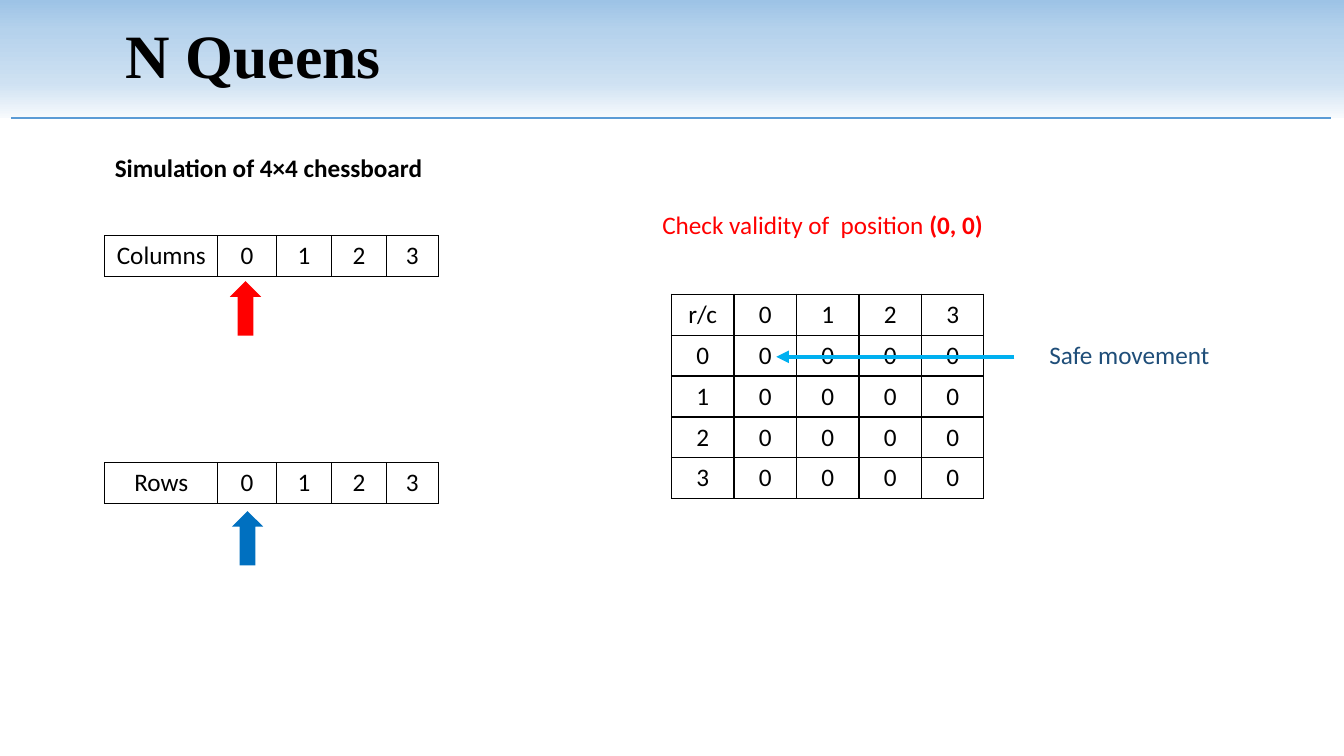
"""Build the N Queens slide showing the first step on a 4×4 chessboard."""
import lxml.etree
import pptx
import pptx.dml.color
import pptx.enum.shapes
import pptx.enum.text
import pptx.oxml.ns
import pptx.util

Inches = pptx.util.Inches
Pt = pptx.util.Pt
qn = pptx.oxml.ns.qn


def color(value):
    return pptx.dml.color.RGBColor.from_string(value)


def add_element(parent, tag, **attributes):
    return lxml.etree.SubElement(parent, qn(tag), attributes)


presentation = pptx.Presentation()
presentation.slide_width = Inches(13.33)
presentation.slide_height = Inches(7.5)
slide = presentation.slides.add_slide(presentation.slide_layouts[6])
shapes = slide.shapes

title = shapes.add_shape(pptx.enum.shapes.MSO_SHAPE.RECTANGLE, 0, 0, Inches(13.33), Inches(1.17))
title.shadow.inherit = False
title.line.fill.background()
title.fill.gradient()
title.fill.gradient_angle = 270
stop_list = title.element.spPr.find(".//" + qn("a:gsLst"))
stop_list.clear()
for position, shade in [(0, "9DC3E6"), (26, "B5D2EC"), (70, "CEE1F2"), (100, "F7FAFD")]:
    stop = add_element(stop_list, "a:gs", pos=str(position * 1000))
    add_element(stop, "a:srgbClr", val=shade)
title_frame = title.text_frame
title_frame.text = "N Queens"
title_frame.margin_left = Inches(1.25)
title_frame.vertical_anchor = pptx.enum.text.MSO_ANCHOR.MIDDLE
paragraph = title_frame.paragraphs[0]
paragraph.alignment = pptx.enum.text.PP_ALIGN.LEFT
paragraph.line_spacing = 0.9
font = paragraph.runs[0].font
font.name = "Times New Roman"
font.size = Pt(44)
font.bold = True
font.color.rgb = color("000000")

board = [["r/c", "0", "1", "2", "3"]] + [[str(row)] + ["0"] * 4 for row in range(4)]
strip_widths = [1.12, 0.58, 0.55, 0.54, 0.52]
tables = [
    (6.66, 2.92, [0.62] * 5, board),
    (1.04, 4.59, strip_widths, [["Rows", "0", "1", "2", "3"]]),
    (1.04, 2.34, strip_widths, [["Columns", "0", "1", "2", "3"]]),
]
for left, top, widths, rows in tables:
    table = shapes.add_table(
        len(rows), len(widths), Inches(left), Inches(top),
        Inches(sum(widths)), Inches(0.4 * len(rows)),
    ).table
    table.first_row = False
    table.horz_banding = False
    for column, width in zip(table.columns, widths):
        column.width = Inches(width)
    for row_index, row in enumerate(rows):
        for column_index, text in enumerate(row):
            cell = table.cell(row_index, column_index)
            cell.text_frame.text = text
            paragraph = cell.text_frame.paragraphs[0]
            paragraph.alignment = pptx.enum.text.PP_ALIGN.CENTER
            font = paragraph.runs[0].font
            font.name = "Calibri"
            font.size = Pt(18)
            font.color.rgb = color("000000")
            properties = cell._tc.get_or_add_tcPr()
            for side in ["a:lnL", "a:lnR", "a:lnT", "a:lnB"]:
                border = add_element(properties, side, w=str(Pt(1)))
                add_element(add_element(border, "a:solidFill"), "a:srgbClr", val="000000")
            cell.fill.background()

for left, top, fill in [(2.28, 2.79, "FF0000"), (2.3, 5.07, "0070C0")]:
    pointer = shapes.add_shape(
        pptx.enum.shapes.MSO_SHAPE.UP_ARROW, Inches(left), Inches(top), Inches(0.31), Inches(0.54)
    )
    pointer.shadow.inherit = False
    pointer.fill.solid()
    pointer.fill.fore_color.rgb = color(fill)
    pointer.line.fill.background()

labels = [
    (1.04, 1.46, 8.15, "000000", [("Simulation of 4×4 chessboard", True)]),
    (6.47, 2.03, 5.45, "FF0000", [("Check validity of  position ", False), ("(0, 0)", True)]),
    (10.31, 3.32, 2.88, "1F4E79", [("Safe movement", False)]),
]
for left, top, width, text_color, runs in labels:
    label = shapes.add_textbox(Inches(left), Inches(top), Inches(width), Inches(0.4))
    label.text_frame.word_wrap = True
    for text, bold in runs:
        run = label.text_frame.paragraphs[0].add_run()
        run.text = text
        run.font.name = "Calibri"
        run.font.size = Pt(18)
        run.font.bold = bold
        run.font.color.rgb = color(text_color)

lines = [
    (0.11, 13.2, 1.17, "5B9BD5", 1.5, False),
    (10.06, 7.7, 3.54, "00B0F0", 3, True),
]
for start, end, height, line_color, weight, has_arrowhead in lines:
    connector = shapes.add_connector(
        pptx.enum.shapes.MSO_CONNECTOR.STRAIGHT,
        Inches(start), Inches(height), Inches(end), Inches(height),
    )
    connector.line.color.rgb = color(line_color)
    connector.line.width = Pt(weight)
    if has_arrowhead:
        add_element(connector.line._get_or_add_ln(), "a:tailEnd", type="triangle")
    add_element(connector.element.spPr, "a:effectLst")

presentation.save("out.pptx")
